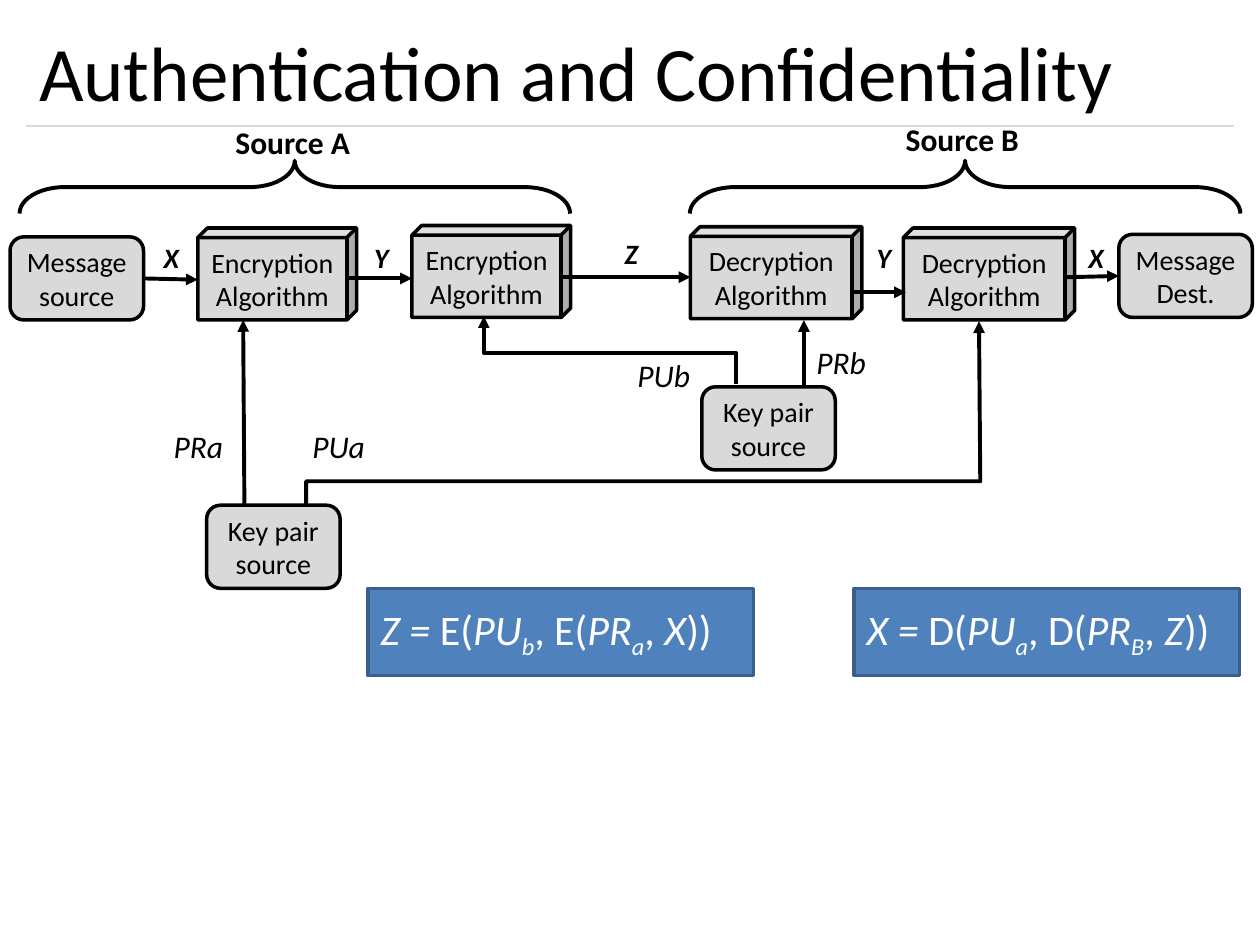
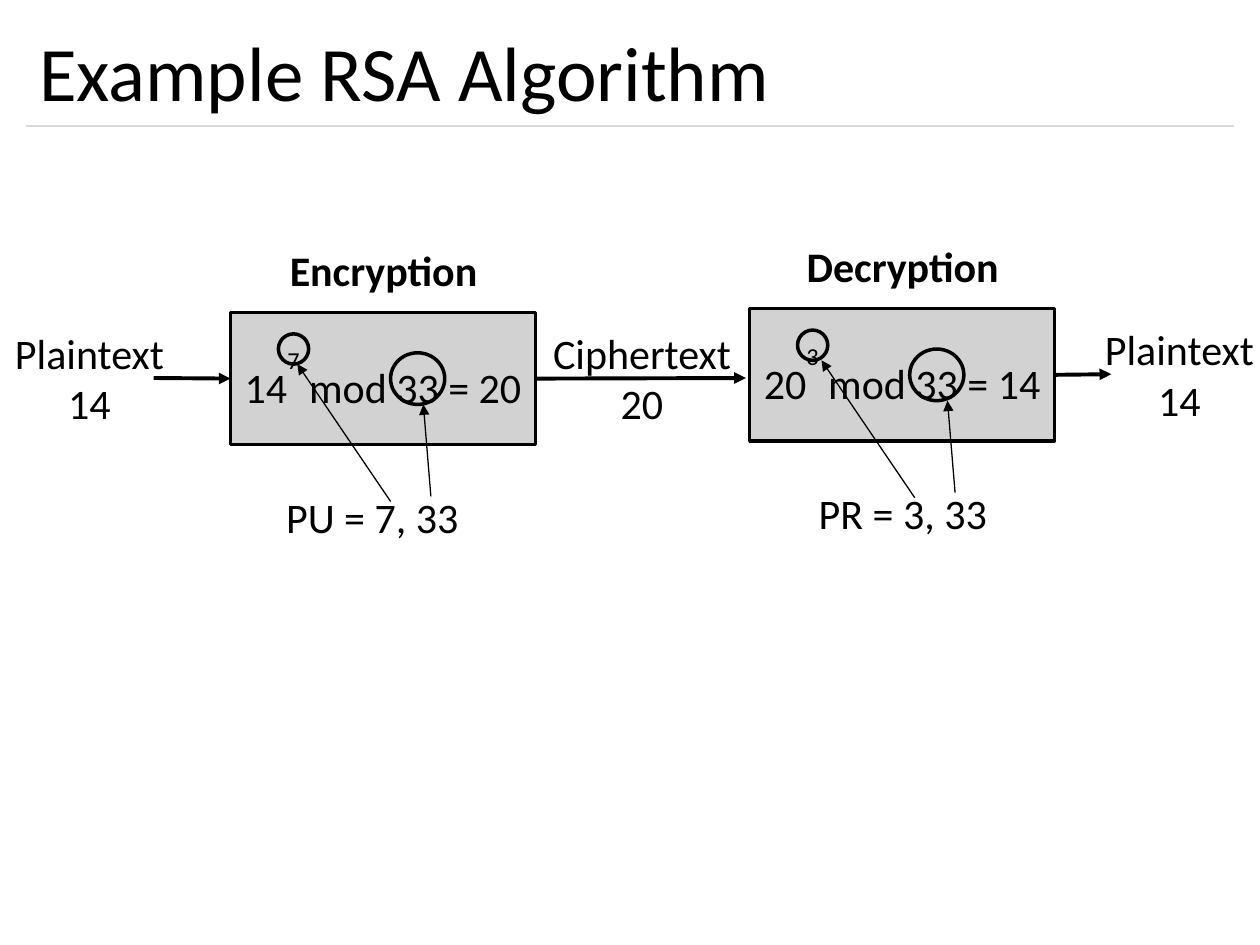
from lxml.etree import SubElement
from pptx import Presentation
from pptx.dml.color import RGBColor
from pptx.enum.shapes import MSO_CONNECTOR, MSO_SHAPE
from pptx.enum.text import MSO_ANCHOR, PP_ALIGN
from pptx.oxml.ns import qn
from pptx.util import Inches, Pt

COLORS = {
    "ink": "000000",
    "rule": "D9D9D9",
    "block": "D9D9D9",
    "rsa_block": "D3D2D2",
    "formula": "4F81BD",
    "formula_edge": "3A5F8C",
    "light": "FFFFFF",
}
FONT = "Calibri"
TITLE_BOX = (0.21, 0.12, 9.58, 0.88)
TOP, LEFT, BOTTOM, RIGHT = 0, 1, 2, 3
UPRIGHT = {"italic": False}
SUBSCRIPT = {"baseline": -25}


def rgb(name):
    return RGBColor.from_string(COLORS[name])


def inches(*lengths):
    return [Inches(length) for length in lengths]


# Text
def write_text(shape, text, size=16, color="ink", bold=False, italic=False,
               align=PP_ALIGN.LEFT, anchor=MSO_ANCHOR.TOP):
    """Write lines of text, or one line given as (text, overrides) runs."""
    frame = shape.text_frame
    frame.word_wrap = True
    frame.vertical_anchor = anchor
    if isinstance(text, str):
        lines = [[(line, {})] for line in text.split("\n")]
    else:
        lines = [text]
    for index, line in enumerate(lines):
        paragraph = frame.add_paragraph() if index else frame.paragraphs[0]
        paragraph.alignment = align
        for words, overrides in line:
            run = paragraph.add_run()
            run.text = words
            font = run.font
            font.name, font.size, font.bold = FONT, Pt(size), bold
            font.italic = overrides.get("italic", italic)
            font.color.rgb = rgb(color)
            if "baseline" in overrides:
                properties = run._r.get_or_add_rPr()
                properties.set("baseline", str(overrides["baseline"] * 1000))


def add_label(slide, text, box, **text_format):
    label = slide.shapes.add_textbox(*inches(*box))
    write_text(label, text, **text_format)


# Shapes and lines
def style_line(line, width, color="ink"):
    line.color.rgb = rgb(color)
    line.width = Pt(width)


def add_arrowhead(shape):
    line = shape.line._get_or_add_ln()
    SubElement(line, qn("a:tailEnd"), type="triangle")


def add_block(slide, kind, box, text="", fill=None, edge="ink", edge_width=2,
              adjustments=(), **text_format):
    shape = slide.shapes.add_shape(kind, *inches(*box))
    shape.shadow.inherit = False
    for index, value in enumerate(adjustments):
        shape.adjustments[index] = value
    if fill:
        shape.fill.solid()
        shape.fill.fore_color.rgb = rgb(fill)
    else:
        shape.fill.background()
    style_line(shape.line, edge_width, edge)
    if text:
        text_format = {"align": PP_ALIGN.CENTER, "anchor": MSO_ANCHOR.MIDDLE,
                       **text_format}
        write_text(shape, text, **text_format)
    return shape


def add_line(slide, start, end, width=2.25, color="ink"):
    line = slide.shapes.add_connector(MSO_CONNECTOR.STRAIGHT,
                                      *inches(*start, *end))
    SubElement(line._element.spPr, qn("a:effectLst"))
    style_line(line.line, width, color)
    return line


def add_arrow(slide, start, end, width=2.25, source=None, target=None):
    """Draw an arrow; source and target are (shape, side) pairs to join."""
    arrow = add_line(slide, start, end, width)
    add_arrowhead(arrow)
    if source:
        arrow.begin_connect(*source)
    if target:
        arrow.end_connect(*target)


def add_bent_arrow(slide, points):
    corners = [inches(*point) for point in points]
    builder = slide.shapes.build_freeform(*corners[0])
    builder.add_line_segments(corners[1:], close=False)
    path_shape = builder.convert_to_shape()
    path_shape.shadow.inherit = False
    path_shape.fill.background()
    style_line(path_shape.line, 2.25)
    add_arrowhead(path_shape)


# Shared slide frame
def add_titled_slide(presentation, title):
    slide = presentation.slides.add_slide(presentation.slide_layouts[5])
    placeholder = slide.shapes.title
    (placeholder.left, placeholder.top,
     placeholder.width, placeholder.height) = inches(*TITLE_BOX)
    write_text(placeholder, title, size=44, anchor=MSO_ANCHOR.MIDDLE)
    add_line(slide, (0.21, 1), (9.79, 1), 0.75, "rule")
    return slide


# Elements of the authentication slide
def add_rounded(slide, left, top, text):
    return add_block(slide, MSO_SHAPE.ROUNDED_RECTANGLE,
                     (left, top, 1.06, 0.66), text, "block")


def add_cube(slide, left, top, width, text):
    add_block(slide, MSO_SHAPE.CUBE, (left, top, width, 0.73),
              text + "\nAlgorithm", "block", adjustments=[0.104])


def add_party(slide, brace_left, label_top, name):
    brace = add_block(slide, MSO_SHAPE.RIGHT_BRACE,
                      (brace_left, -0.7, 0.42, 4.37), edge_width=2.25,
                      adjustments=[0.853, 0.5])
    brace.rotation = 270
    add_label(slide, name, (brace_left - 0.36, label_top, 1.14, 0.4),
              size=18, bold=True)


def add_formula(slide, left, result, function, outer, inner, message):
    runs = [(result + " = ", {}), (function + "(", UPRIGHT),
            (outer[:2], {}), (outer[2:], SUBSCRIPT),
            (f", {function}(", UPRIGHT),
            (inner[:2], {}), (inner[2:], SUBSCRIPT),
            (", ", UPRIGHT), (message, {}), ("))", UPRIGHT)]
    add_block(slide, MSO_SHAPE.RECTANGLE, (left, 4.67, 3.06, 0.69), runs,
              "formula", "formula_edge", size=24, color="light", italic=True,
              align=PP_ALIGN.LEFT)


def build_authentication(presentation):
    slide = add_titled_slide(presentation, "Authentication and Confidentiality")

    # Message chain
    source = add_rounded(slide, 0.08, 1.88, "Message\nsource")
    add_cube(slide, 1.57, 1.81, 1.26, "Encryption")
    add_cube(slide, 3.27, 1.79, 1.26, "Encryption")
    add_cube(slide, 5.48, 1.8, 1.36, "Decryption")
    add_cube(slide, 7.17, 1.81, 1.36, "Decryption")
    destination = add_rounded(slide, 8.88, 1.86, "Message\nDest.")
    add_arrow(slide, (1.14, 2.21), (1.57, 2.22), source=(source, RIGHT))
    for start, end, height in ((2.76, 3.27, 2.21), (4.45, 5.48, 2.2),
                               (6.78, 7.19, 2.32)):
        add_arrow(slide, (start, height), (end, height))
    add_arrow(slide, (8.47, 2.2), (8.88, 2.19), target=(destination, LEFT))
    for signal, left, top in (("X", 1.2, 1.86), ("Y", 2.87, 1.86),
                              ("Z", 4.86, 1.83), ("Y", 6.86, 1.86),
                              ("X", 8.54, 1.86)):
        add_label(slide, signal, (left, top, 0.32, 0.37),
                  bold=True, italic=True)

    # Key pairs and their routes
    add_rounded(slide, 1.64, 4.01, "Key pair\nsource")
    add_rounded(slide, 5.57, 3.07, "Key pair\nsource")
    add_arrow(slide, (1.94, 4.01), (1.93, 2.54))
    add_arrow(slide, (6.38, 3.07), (6.38, 2.54))
    add_bent_arrow(slide, [(2.43, 4.01), (2.43, 3.82),
                           (7.78, 3.82), (7.77, 2.55)])
    add_bent_arrow(slide, [(5.84, 3.05), (5.84, 2.8),
                           (3.84, 2.8), (3.84, 2.51)])
    for key, left, top in (("PRa", 1.28, 3.34), ("PUa", 2.38, 3.34),
                           ("PRb", 6.38, 2.67), ("PUb", 4.96, 2.78)):
        add_label(slide, key, (left, top, 0.62, 0.4), size=18, italic=True)

    # Parties and formulas
    add_party(slide, 2.13, 0.93, "Source A")
    add_party(slide, 7.45, 0.9, "Source B")
    add_formula(slide, 2.92, "Z", "E", "PUb", "PRa", "X")
    add_formula(slide, 6.78, "X", "D", "PUa", "PRB", "Z")


# Elements of the RSA slide
def add_value(slide, text, box, bold=False):
    add_label(slide, text, box, size=24, bold=bold, align=PP_ALIGN.CENTER)


def add_rsa_step(slide, left, top, name, base, exponent, result,
                 key, key_left, arrow_left):
    runs = [(base, {}), (exponent, {"baseline": 80}),
            (f" mod 33 = {result} ", {})]
    block = add_block(slide, MSO_SHAPE.RECTANGLE, (left, top, 2.42, 1.05),
                      runs, "rsa_block", size=24)
    add_value(slide, name, (left + 0.33, top - 0.59, 1.77, 0.5), bold=True)
    add_value(slide, key, (key_left, top + 1.37, 1.65, 0.5))
    # Circles around the exponent and the modulus
    for offset_x, offset_y, width, height in ((0.38, 0.17, 0.24, 0.24),
                                              (1.27, 0.32, 0.43, 0.41)):
        add_block(slide, MSO_SHAPE.OVAL,
                  (left + offset_x, top + offset_y, width, height))
    # Key parts point to their circles
    add_arrow(slide, (arrow_left, top + 1.5),
              (arrow_left - 0.74, top + 0.41), 0.75)
    add_arrow(slide, (arrow_left + 0.32, top + 1.46),
              (arrow_left + 0.26, top + 0.73), 0.75)
    return block


def build_rsa(presentation):
    slide = add_titled_slide(presentation, "Example RSA Algorithm")
    encryption = add_rsa_step(slide, 1.83, 2.48, "Encryption", "14", "7", "20",
                              "PU = 7, 33", 2.13, 3.1)
    decryption = add_rsa_step(slide, 5.95, 2.45, "Decryption", "20", "3", "14",
                              "PR = 3, 33", 6.34, 7.26)
    add_value(slide, "Plaintext\n14", (0, 2.55, 1.42, 0.91))
    add_value(slide, "Ciphertext\n20", (4.27, 2.55, 1.65, 0.91))
    add_value(slide, "Plaintext\n14", (8.65, 2.52, 1.42, 0.91))
    add_arrow(slide, (1.22, 3), (1.83, 3), target=(encryption, LEFT))
    add_arrow(slide, (4.25, 3), (5.92, 3), source=(encryption, RIGHT))
    add_arrow(slide, (8.37, 2.97), (8.82, 2.97), source=(decryption, RIGHT))


def main():
    presentation = Presentation()
    presentation.slide_width = Inches(10)
    presentation.slide_height = Inches(7.5)
    build_authentication(presentation)
    build_rsa(presentation)
    presentation.save("out.pptx")


if __name__ == "__main__":
    main()
